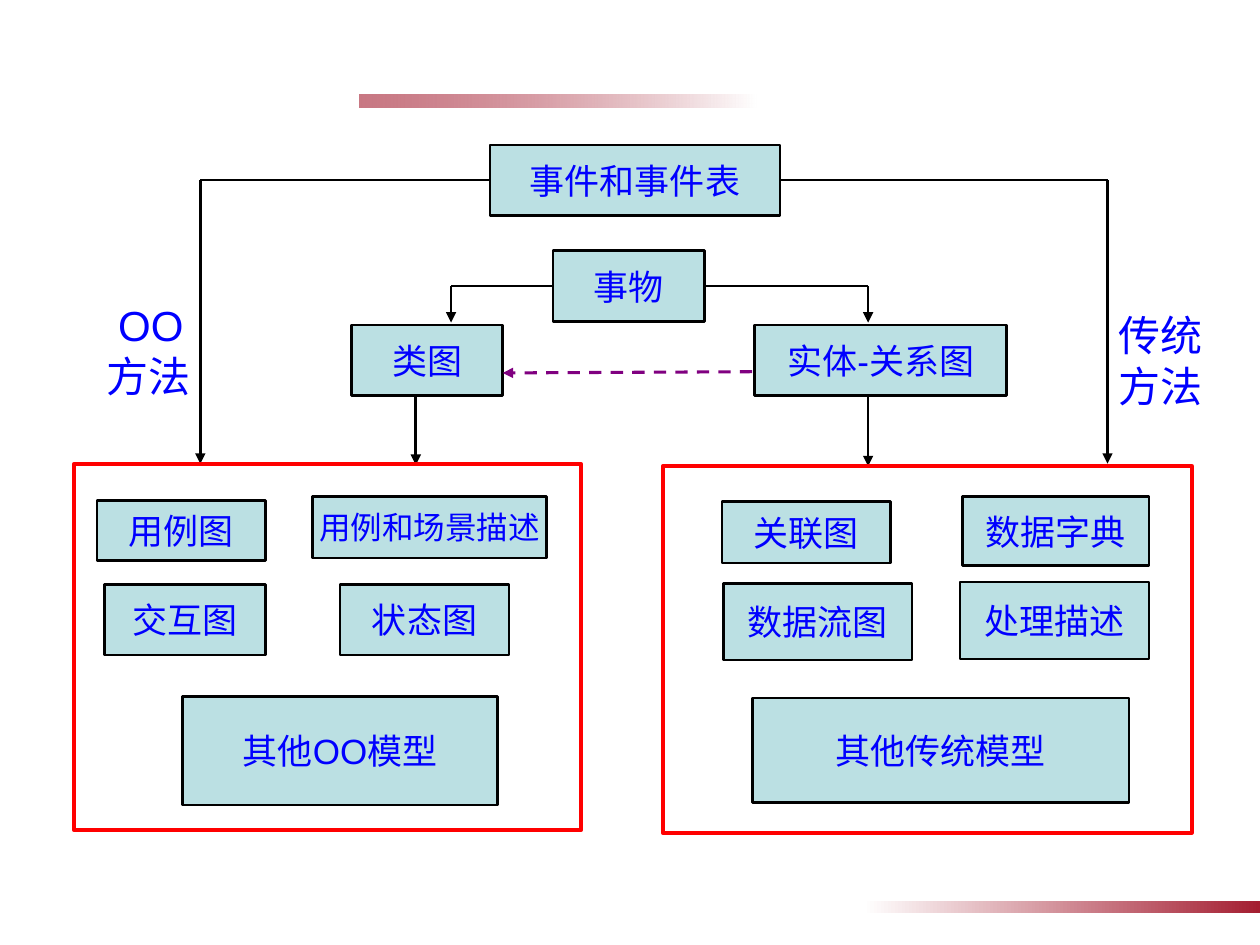
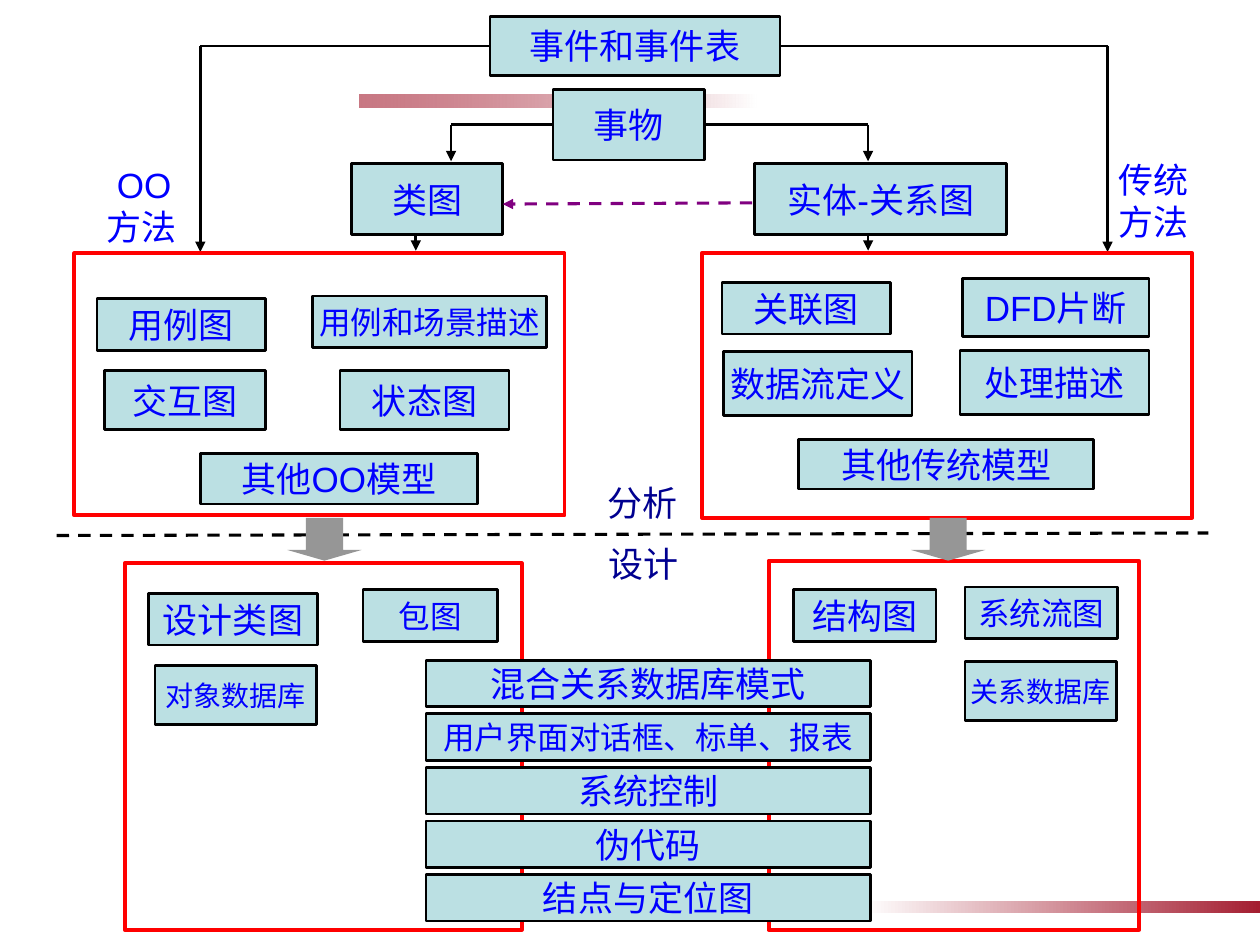
from typing import NamedTuple

from lxml.etree import SubElement
from pptx import Presentation
from pptx.dml.color import RGBColor
from pptx.enum.dml import MSO_LINE
from pptx.enum.shapes import MSO_CONNECTOR, MSO_SHAPE
from pptx.enum.text import MSO_ANCHOR, PP_ALIGN
from pptx.oxml.ns import qn
from pptx.shapes.autoshape import Shape
from pptx.shapes.connector import Connector
from pptx.slide import Slide
from pptx.util import Inches, Pt

WHITE = RGBColor(0xFF, 0xFF, 0xFF)
BLACK = RGBColor(0x00, 0x00, 0x00)
BLUE = RGBColor(0x00, 0x00, 0xFF)
NAVY = RGBColor(0x00, 0x00, 0x90)
PURPLE = RGBColor(0x80, 0x00, 0x80)
RED = RGBColor(0xFF, 0x00, 0x00)
CRIMSON = RGBColor(0xA4, 0x1E, 0x31)
PALE_TEAL = RGBColor(0xBB, 0xE0, 0xE3)
GREY = RGBColor(0x96, 0x96, 0x96)

BODY_FONT = "Arial"
ACCENT_FONT = "Comic Neue"
BLANK_LAYOUT = 6
LEFT, RIGHT = 1, 3  # connection sites of a rectangle


class Area(NamedTuple):
    left: float
    top: float
    width: float
    height: float


class Box(NamedTuple):
    text: str
    area: Area
    size: int = 20
    font: str = BODY_FONT


class Panel(NamedTuple):
    """A red frame and the model boxes inside it."""
    frame: Area
    boxes: list[Box]


ANALYSIS_PANELS = [
    Panel(Area(0.59, 3.68, 4.02, 2.91), [
        Box("用例图", Area(0.77, 3.97, 1.34, 0.48)),
        Box("用例和场景描述", Area(2.48, 3.94, 1.86, 0.49), 18),
        Box("交互图", Area(0.83, 4.64, 1.28, 0.56)),
        Box("状态图", Area(2.7, 4.64, 1.34, 0.56)),
        Box("其他OO模型", Area(1.45, 5.53, 2.5, 0.86)),
    ]),
    Panel(Area(5.26, 3.7, 4.2, 2.91), [
        Box("关联图", Area(5.73, 3.98, 1.34, 0.49)),
        Box("数据字典", Area(7.64, 3.94, 1.48, 0.55)),
        Box("数据流图", Area(5.74, 4.63, 1.5, 0.61)),
        Box("处理描述", Area(7.62, 4.62, 1.5, 0.61)),
        Box("其他传统模型", Area(5.97, 5.54, 2.99, 0.83), font=ACCENT_FONT),
    ]),
]
DESIGN_PANELS = [
    Panel(Area(0.59, 2.01, 3.89, 2.08), [
        Box("用例图", Area(0.77, 2.37, 1.34, 0.41)),
        Box("用例和场景描述", Area(2.48, 2.35, 1.86, 0.41), 18),
        Box("交互图", Area(0.83, 2.94, 1.28, 0.47)),
        Box("状态图", Area(2.7, 2.94, 1.34, 0.47)),
        Box("其他OO模型", Area(1.59, 3.6, 2.2, 0.4)),
    ]),
    Panel(Area(5.57, 2.01, 3.89, 2.1), [
        Box("关联图", Area(5.73, 2.24, 1.34, 0.41)),
        Box("DFD片断", Area(7.64, 2.21, 1.48, 0.46)),
        Box("数据流定义", Area(5.74, 2.79, 1.5, 0.51)),
        Box("处理描述", Area(7.62, 2.78, 1.5, 0.51)),
        Box("其他传统模型", Area(6.34, 3.49, 2.34, 0.39), font=ACCENT_FONT),
    ]),
    Panel(Area(0.99, 4.47, 3.15, 2.91), [
        Box("设计类图", Area(1.18, 4.71, 1.34, 0.41)),
        Box("包图", Area(2.88, 4.68, 1.07, 0.41), 18),
        Box("对象数据库", Area(1.23, 5.28, 1.28, 0.47), 16),
    ]),
    Panel(Area(6.1, 4.45, 2.94, 2.93), [
        Box("结构图", Area(6.3, 4.68, 1.13, 0.41)),
        Box("系统流图", Area(7.66, 4.66, 1.21, 0.41), 18),
        Box("关系数据库", Area(7.66, 5.25, 1.2, 0.47), 16),
    ]),
]
SHARED_DESIGN_MODELS = [
    ("混合关系数据库模式", 20),
    ("用户界面对话框、标单、报表", 18),
    ("系统控制", 20),
    ("伪代码", 20),
    ("结点与定位图", 20),
]


def add_plain_shape(slide: Slide, area: Area, kind=MSO_SHAPE.RECTANGLE) -> Shape:
    """Add a shape with no shadow, fill or outline."""
    shape = slide.shapes.add_shape(kind, *map(Inches, area))
    shape.shadow.inherit = False
    shape.fill.background()
    shape.line.fill.background()
    return shape


def add_outline(shape: Shape, color: RGBColor, width: float) -> None:
    shape.line.color.rgb = color
    shape.line.width = Pt(width)


def add_band(slide: Slide, area: Area, rotation: int = 0, opacity: int = 100) -> None:
    band = add_plain_shape(slide, area)
    band.rotation = rotation
    band.fill.gradient()
    band.fill.gradient_angle = 0
    start, end = band.fill.gradient_stops
    start.color.rgb = WHITE
    end.color.rgb = CRIMSON
    if opacity < 100:
        color = band._element.spPr.findall(".//" + qn("a:srgbClr"))[-1]
        SubElement(color, qn("a:alpha"), val=str(opacity * 1000))


def add_box(slide: Slide, box: Box) -> Shape:
    shape = add_plain_shape(slide, box.area)
    shape.fill.solid()
    shape.fill.fore_color.rgb = PALE_TEAL
    add_outline(shape, BLACK, 1.5)
    frame = shape.text_frame
    frame.word_wrap = False
    frame.vertical_anchor = MSO_ANCHOR.MIDDLE
    para = frame.paragraphs[0]
    para.text = box.text
    para.alignment = PP_ALIGN.CENTER
    para.font.name = box.font
    para.font.size = Pt(box.size)
    para.font.color.rgb = BLUE
    return shape


def add_panel(slide: Slide, panel: Panel) -> None:
    add_outline(add_plain_shape(slide, panel.frame), RED, 2.25)
    for box in panel.boxes:
        add_box(slide, box)


def add_label(slide: Slide, lines: list[str], area: Area, size: int = 20,
              color: RGBColor = BLUE, first_indent: float = 0) -> None:
    frame = slide.shapes.add_textbox(*map(Inches, area)).text_frame
    frame.word_wrap = True
    frame.text = "\n".join(lines)
    if first_indent:
        properties = frame.paragraphs[0]._p.get_or_add_pPr()
        properties.set("marL", str(Inches(first_indent)))
    for para in frame.paragraphs:
        para.font.name = BODY_FONT
        para.font.size = Pt(size)
        para.font.color.rgb = color


def add_line(slide: Slide, start: tuple[float, float], end: tuple[float, float],
             arrow: bool = False, color: RGBColor = BLACK, dashed: bool = False) -> Connector:
    line = slide.shapes.add_connector(MSO_CONNECTOR.STRAIGHT, *map(Inches, (*start, *end)))
    line.line.color.rgb = color
    line.line.width = Pt(1.75 if dashed else 1.5)
    if dashed:
        line.line.dash_style = MSO_LINE.DASH
    properties = line._element.spPr
    if arrow:
        SubElement(properties.find(qn("a:ln")), qn("a:tailEnd"), type="triangle")
    SubElement(properties, qn("a:effectLst"))
    return line


def add_branch(slide: Slide, source: Shape, side: int, turn_x: float, end_y: float) -> None:
    """Run a line out of a side of source, then an arrow straight down."""
    start_x = source.left + (source.width if side == RIGHT else 0)
    start = start_x / Inches(1), (source.top + source.height / 2) / Inches(1)
    turn = turn_x, start[1]
    add_line(slide, start, turn).begin_connect(source, side)
    add_line(slide, turn, (turn_x, end_y), arrow=True)


def add_events(slide: Slide, top: float, height: float, end_y: float) -> None:
    events = add_box(slide, Box("事件和事件表", Area(3.89, top, 2.3, height)))
    add_branch(slide, events, LEFT, 1.59, end_y)
    add_branch(slide, events, RIGHT, 8.79, end_y)


def add_things(slide: Slide, top: float, class_arrow_end: float,
               entity_arrow_end: float, link_y: float) -> None:
    """Add the things box, its two diagrams and the arrows down to the panels."""
    row = top + 0.59
    bottom = row + 0.56
    add_line(slide, (3.3, bottom), (3.3, class_arrow_end), arrow=True)
    add_line(slide, (6.89, bottom), (6.89, entity_arrow_end), arrow=True)
    things = add_box(slide, Box("事物", Area(4.39, top, 1.2, 0.56)))
    add_box(slide, Box("类图", Area(2.79, row, 1.2, 0.56)))
    add_box(slide, Box("实体-关系图", Area(5.99, row, 2, 0.56)))
    add_branch(slide, things, LEFT, 3.58, top + 0.57)
    add_branch(slide, things, RIGHT, 6.89, top + 0.57)
    add_line(slide, (5.97, link_y), (3.99, link_y + 0.01), arrow=True,
             color=PURPLE, dashed=True)


def add_method_labels(slide: Slide, oo_top: float, traditional_top: float, size: int) -> None:
    height = 0.9 if size > 20 else 0.77
    add_label(slide, ["OO", "方法"], Area(0.75, oo_top, 0.94, height), size,
              first_indent=0.09 if size > 20 else 0.08)
    add_label(slide, ["传统", "方法"], Area(8.78, traditional_top, 1.1, height), size)


def add_slide(deck: Presentation) -> Slide:
    slide = deck.slides.add_slide(deck.slide_layouts[BLANK_LAYOUT])
    add_band(slide, Area(2.85, 0.75, 3.15, 0.1), rotation=180, opacity=60)
    add_band(slide, Area(6.85, 7.15, 3.15, 0.1))
    return slide


def build_analysis_slide(deck: Presentation) -> None:
    slide = add_slide(deck)
    add_events(slide, top=1.15, height=0.56, end_y=3.68)
    add_things(slide, top=1.99, class_arrow_end=3.69, entity_arrow_end=3.7, link_y=2.95)
    add_method_labels(slide, oo_top=2.33, traditional_top=2.41, size=24)
    for panel in ANALYSIS_PANELS:
        add_panel(slide, panel)


def build_design_slide(deck: Presentation) -> None:
    slide = add_slide(deck)
    add_events(slide, top=0.13, height=0.47, end_y=2)
    add_things(slide, top=0.71, class_arrow_end=1.99, entity_arrow_end=1.99, link_y=1.61)
    add_method_labels(slide, oo_top=1.25, traditional_top=1.21, size=20)
    for panel in DESIGN_PANELS:
        add_panel(slide, panel)

    step = 1.7 / (len(SHARED_DESIGN_MODELS) - 1)
    for index, (text, size) in enumerate(SHARED_DESIGN_MODELS):
        add_box(slide, Box(text, Area(3.38, 5.24 + index * step, 3.53, 0.37), size))

    add_line(slide, (0.45, 4.25), (9.59, 4.23), dashed=True)
    add_label(slide, ["分析"], Area(4.72, 3.77, 0.9, 0.43), color=NAVY)
    add_label(slide, ["设计"], Area(4.73, 4.26, 0.9, 0.43), color=NAVY)
    for left in (2.28, 7.23):
        arrow = add_plain_shape(slide, Area(left, 4.11, 0.59, 0.34), MSO_SHAPE.DOWN_ARROW)
        arrow.adjustments[0] = 0.5
        arrow.adjustments[1] = 0.25
        arrow.fill.solid()
        arrow.fill.fore_color.rgb = GREY


def main() -> None:
    deck = Presentation()
    deck.slide_width = Inches(10)
    deck.slide_height = Inches(7.5)
    build_analysis_slide(deck)
    build_design_slide(deck)
    deck.save("out.pptx")


if __name__ == "__main__":
    main()
